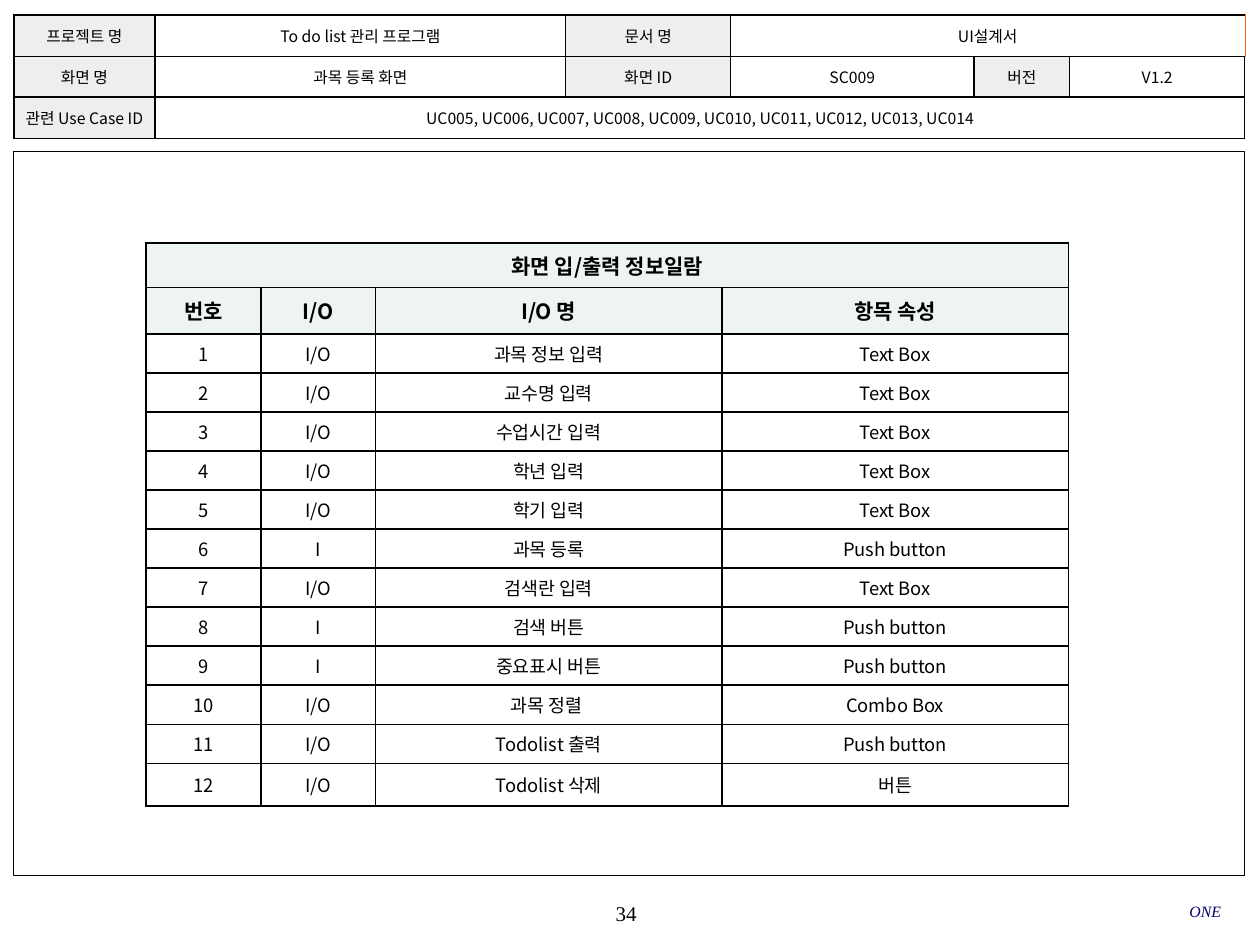
from lxml import etree
from pptx import Presentation
from pptx.dml.color import RGBColor
from pptx.enum.shapes import MSO_SHAPE
from pptx.enum.text import MSO_ANCHOR, PP_ALIGN
from pptx.oxml.ns import qn
from pptx.util import Inches, Pt

RECT = MSO_SHAPE.RECTANGLE
MIDDLE = MSO_ANCHOR.MIDDLE
CENTER, RIGHT = PP_ALIGN.CENTER, PP_ALIGN.RIGHT
SANS, SERIF = "Noto Sans CJK KR", "Times New Roman"
BLACK, WHITE, NAVY, ORANGE = "000000", "FFFFFF", "000066", "FF6600"
GRAY, MINT = "EEEEEE", "EEF4F4"
SIDES = ("lnL", "lnR", "lnT", "lnB")


def rgb(value):
    return RGBColor.from_string(value)


def set_border(cell, side, color=BLACK, width=1):
    tc_pr = cell._tc.get_or_add_tcPr()
    ln = tc_pr.find(qn(f"a:{side}"))
    if ln is None:
        ln = etree.SubElement(tc_pr, qn(f"a:{side}"))
        fill = etree.SubElement(ln, qn("a:solidFill"))
        etree.SubElement(fill, qn("a:srgbClr"))
    ln.set("w", str(Pt(width)))
    ln.find(".//" + qn("a:srgbClr")).set("val", color)


class SlideBuilder:
    def __init__(self, prs):
        self.s = prs.slides.add_slide(prs.slide_layouts[6])

    def style(self, p, size, font, color=BLACK, align=CENTER, bold=False, italic=False):
        p.alignment = align
        f = p.font
        f.size, f.name, f.bold, f.italic = Pt(size), font, bold, italic
        f.color.rgb = rgb(color)
        ea = etree.SubElement(f._element, qn("a:ea"))
        ea.set("typeface", font)

    def text(self, box, text, size, **style):
        tf = self.s.shapes.add_textbox(*map(Inches, box)).text_frame
        tf.word_wrap = True
        tf.vertical_anchor = MIDDLE
        tf.margin_left = tf.margin_right = tf.margin_top = tf.margin_bottom = 0
        p = tf.paragraphs[0]
        p.text = text
        self.style(p, size, SERIF, **style)

    def frame(self, box, width):
        sp = self.s.shapes.add_shape(RECT, *map(Inches, box))
        sp.shadow.inherit = False
        sp.fill.background()
        sp.line.color.rgb = rgb(BLACK)
        sp.line.width = Pt(width)

    def table(self, left, top, cols, rows, merges):
        shape = self.s.shapes.add_table(
            len(rows), len(cols), Inches(left), Inches(top),
            Inches(sum(cols)), Inches(sum(rows)))
        table = shape.table
        table.first_row = table.horz_banding = False
        for col, width in zip(table.columns, cols):
            col.width = Inches(width)
        for row, height in zip(table.rows, rows):
            row.height = Inches(height)
        for cell in table.iter_cells():
            for side in SIDES:
                set_border(cell, side)
        for row, first, last in merges:
            table.cell(row, first).merge(table.cell(row, last))
        return table

    def cell(self, cell, text, size, fill=None, bold=False, margins=None):
        cell.vertical_anchor = MIDDLE
        if margins:
            cell.margin_left = cell.margin_right = Inches(margins[0])
            cell.margin_top = cell.margin_bottom = Inches(margins[1])
        if fill:
            cell.fill.solid()
            cell.fill.fore_color.rgb = rgb(fill)
        else:
            cell.fill.background()
        p = cell.text_frame.paragraphs[0]
        p.text = text
        self.style(p, size, SANS, bold=bold)


def add_io_table(slide):
    items = [
        ("I/O", "과목 정보 입력", "Text Box"),
        ("I/O", "교수명 입력", "Text Box"),
        ("I/O", "수업시간 입력", "Text Box"),
        ("I/O", "학년 입력", "Text Box"),
        ("I/O", "학기 입력", "Text Box"),
        ("I", "과목 등록", "Push button"),
        ("I/O", "검색란 입력", "Text Box"),
        ("I", "검색 버튼", "Push button"),
        ("I", "중요표시 버튼", "Push button"),
        ("I/O", "과목 정렬 ", "Combo Box"),
        ("I/O", "Todolist 출력", "Push button"),
        ("I/O", "Todolist 삭제", "버튼"),
    ]
    headings = [("화면 입/출력 정보일람",), ("번호", "I/O", "I/O 명", "항목 속성")]
    body = [(str(n), *item) for n, item in enumerate(items, 1)]
    heights = [0.35, 0.37] + [0.31] * (len(items) - 1) + [0.34]
    table = slide.table(1.16, 1.93, [0.91, 0.91, 2.75, 2.75], heights, [(0, 0, 3)])
    for i, row in enumerate(headings + body):
        heading = i < len(headings)
        for j, text in enumerate(row):
            slide.cell(table.cell(i, j), text, 12 if heading else 10.5,
                       MINT if heading else WHITE, bold=heading)


def add_document_table(slide):
    rows = [
        ("프로젝트 명", "To do list 관리 프로그램", "문서 명", "UI설계서"),
        ("화면 명", "과목 등록 화면", "화면 ID", "SC009", "버전", "V1.2"),
        ("관련 Use Case ID", ", ".join(f"UC{n:03}" for n in range(5, 15))),
    ]
    table = slide.table(0.11, 0.12, [1.12, 3.26, 1.31, 1.93, 0.76, 1.39],
                        [0.33, 0.32, 0.33], [(0, 3, 5), (2, 1, 5)])
    for i, row in enumerate(rows):
        for j, text in enumerate(row):
            slide.cell(table.cell(i, j), text, 9, None if j % 2 else GRAY,
                       margins=(0.04, 0.02))
    for j in (3, 5):
        set_border(table.cell(0, j), "lnR", ORANGE, 0.25)


def main():
    prs = Presentation()
    prs.slide_width, prs.slide_height = Inches(10), Inches(7.5)
    slide = SlideBuilder(prs)
    slide.text((3.93, 7.08, 2.08, 0.33), "34", 12)
    slide.frame((0.11, 1.2, 9.77, 5.75), 0.75)
    slide.text((6.63, 7.07, 3.06, 0.33), "ONE", 9, color=NAVY, align=RIGHT, italic=True)
    add_io_table(slide)
    add_document_table(slide)
    prs.save("out.pptx")


if __name__ == "__main__":
    main()
